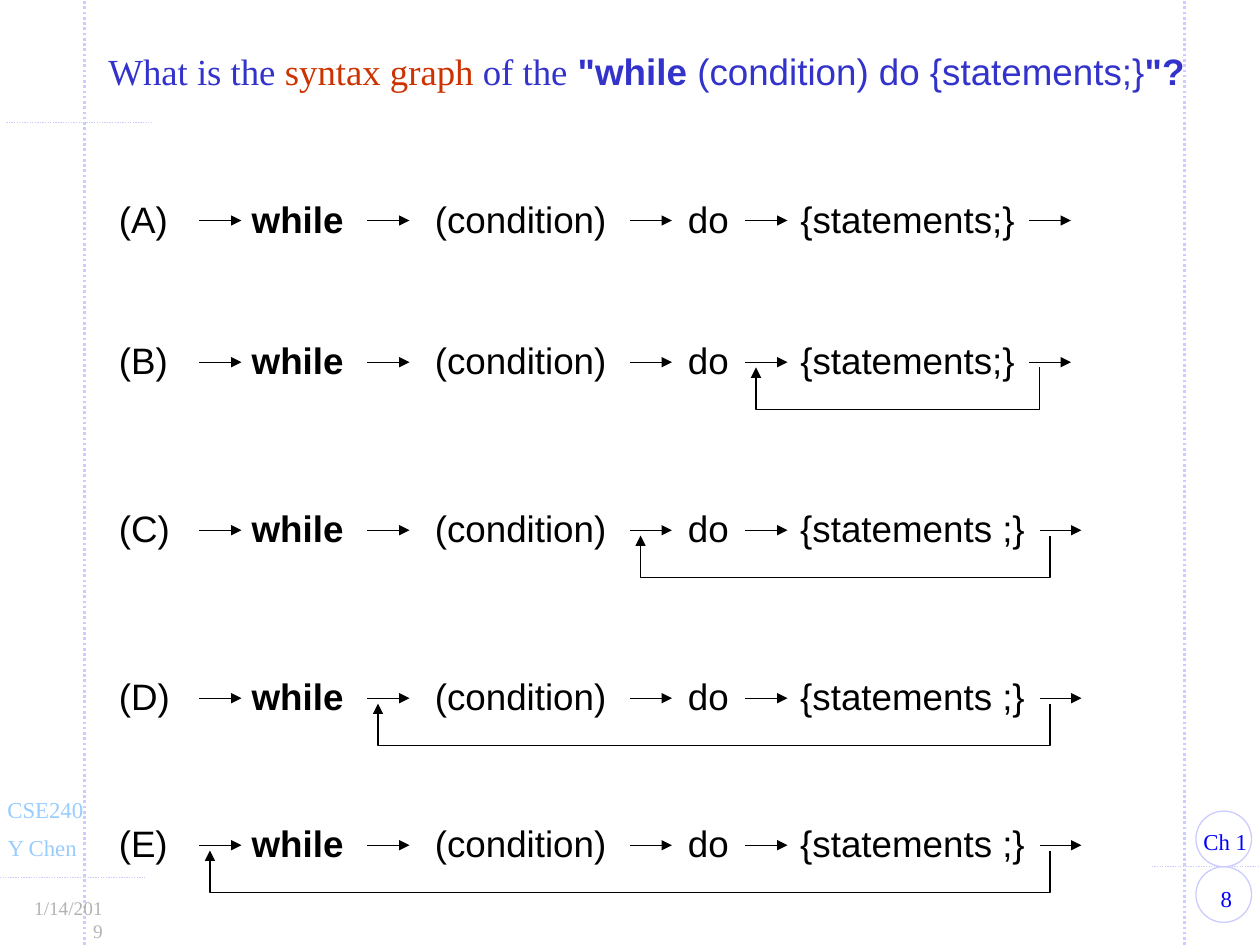
import dataclasses
import lxml.etree
import pptx
import pptx.dml.color
import pptx.enum.dml
import pptx.enum.shapes
import pptx.enum.text
import pptx.oxml.ns
import pptx.util

COLUMNS, ROWS = 120, 90
CELL = pptx.util.Inches(10) // COLUMNS
ARROW_LENGTH = 4


@dataclasses.dataclass(frozen=True)
class Theme:
    serif: str = "Times New Roman"
    sans: str = "Arial"
    body_size: int = 21
    label_size: int = 13
    date_size: int = 11
    title: str = "3333CC"
    accent: str = "CC3300"
    ink: str = "000000"
    guide: str = "CCCCFF"
    course: str = "99CCFF"
    chapter: str = "0000FF"
    date: str = "B2B2B2"
    thin: float = 0.75
    thick: float = 1.5


@dataclasses.dataclass(frozen=True)
class Box:
    left: float
    top: float
    width: float
    height: float

    def inner(self, left, top, width, height):
        return Box(self.left + left, self.top + top, width, height)

    def point(self, column, row):
        return cells(self.left + column), cells(self.top + row)

    def frame(self):
        return [cells(value) for value in dataclasses.astuple(self)]


THEME = Theme()


def cells(count):
    return pptx.util.Emu(round(count * CELL))


def color(value):
    return pptx.dml.color.RGBColor.from_string(value)


def add_xml(parent, tag, **attributes):
    return lxml.etree.SubElement(parent, pptx.oxml.ns.qn(tag), attributes)


def apply_formats(target, formats):
    for name, value in formats.items():
        setattr(target, name, value)


def style_line(line, value, weight, dotted=False, arrow=False):
    line.color.rgb = color(value)
    line.width = pptx.util.Pt(weight)
    if dotted:
        line.dash_style = pptx.enum.dml.MSO_LINE.ROUND_DOT
    if arrow:
        add_xml(line._get_or_add_ln(), "a:tailEnd", type="triangle")


def add_line(slide, start, end, value, weight, **options):
    connector = slide.shapes.add_connector(
        pptx.enum.shapes.MSO_CONNECTOR.STRAIGHT, *start, *end)
    style_line(connector.line, value, weight, **options)
    add_xml(connector._element.spPr, "a:effectLst")


def add_text(slide, box, runs, align="LEFT", wrap=False, tabs=()):
    frame = slide.shapes.add_textbox(*box.frame()).text_frame
    apply_formats(frame, {
        "word_wrap": wrap,
        "auto_size": pptx.enum.text.MSO_AUTO_SIZE.SHAPE_TO_FIT_TEXT,
        "margin_left": pptx.util.Inches(0.11),
        "margin_right": pptx.util.Inches(0.11),
        "margin_top": pptx.util.Inches(0.05),
        "margin_bottom": pptx.util.Inches(0.05),
    })
    paragraph = frame.paragraphs[0]
    paragraph.alignment = pptx.enum.text.PP_ALIGN[align]
    if tabs:
        tab_list = add_xml(paragraph._p.get_or_add_pPr(), "a:tabLst")
        for position in tabs:
            add_xml(tab_list, "a:tab", pos=str(cells(position)), algn="l")
    for text, name, size, value, bold in runs:
        run = paragraph.add_run()
        run.text = text
        apply_formats(run.font, {"name": name, "size": pptx.util.Pt(size), "bold": bold})
        run.font.color.rgb = color(value)


def add_label(slide, box, text, value, size=THEME.label_size, **options):
    add_text(slide, box, [(text, THEME.serif, size, value, False)], **options)


def add_guides(slide, box):
    for column in (8.05, 112.8):
        add_line(slide, box.point(column, box.height), box.point(column, 0),
                 THEME.guide, THEME.thick, dotted=True)
    for first, last, row in ((0, 13.8, 83.6), (109.7, 120.6, 82.55), (0.6, 14.4, 11.65)):
        add_line(slide, box.point(first, row), box.point(last, row),
                 THEME.guide, THEME.thin, dotted=True)


def add_course_block(slide, box):
    add_label(slide, box.inner(0, 0, 10.8, 3.8), "CSE240", THEME.course)
    add_label(slide, box.inner(0, 3.65, 10.2, 3.8), "Y Chen", THEME.course)
    add_label(slide, box.inner(1.7, 9.6, 10, 3.5), "1/14/2019", THEME.date,
              size=THEME.date_size, align="RIGHT", wrap=True)


def add_page_badge(slide, box):
    diameter = box.height / 2
    for index in range(2):
        circle = slide.shapes.add_shape(
            pptx.enum.shapes.MSO_SHAPE.OVAL,
            *box.inner(0, index * diameter, diameter, diameter).frame())
        circle.shadow.inherit = False
        circle.fill.background()
        style_line(circle.line, THEME.guide, THEME.thin)
    add_label(slide, box.inner(-0.6, 1, 7.6, 3.8), "Ch 1", THEME.chapter)
    add_label(slide, box.inner(-0.6, 6.4, 7, 3.8), "8", THEME.chapter,
              align="CENTER", wrap=True)


def add_title(slide, box):
    pieces = [
        ("What is the ", THEME.serif, THEME.title, False),
        ("syntax graph ", THEME.serif, THEME.accent, False),
        ("of the", THEME.serif, THEME.title, False),
        (' "while', THEME.sans, THEME.title, True),
        (" (condition) do {statements;}", THEME.sans, THEME.title, False),
        ('"?', THEME.sans, THEME.title, True),
    ]
    add_text(slide, box, [(text, name, THEME.body_size, value, bold)
                          for text, name, value, bold in pieces])


def add_loop(slide, box, first, last):
    top, bottom = 3.5, 7.5
    corners = [box.point(*corner) for corner in
               ((last, top), (last, bottom), (first, bottom), (first, top))]
    builder = slide.shapes.build_freeform(*corners[0])
    builder.add_line_segments(corners[1:], close=False)
    loop = builder.convert_to_shape()
    loop.shadow.inherit = False
    loop.fill.background()
    style_line(loop.line, THEME.ink, THEME.thin, arrow=True)


def add_answer(slide, box, letter, statements, loop_target):
    pieces = [(f"({letter})\t", False), ("while", True),
              (f"\t(condition)\tdo\t{statements}", False)]
    add_text(slide, box.inner(0, 0.1, box.width, box.height),
             [(text, THEME.sans, THEME.body_size, THEME.ink, bold)
              for text, bold in pieces], tabs=(12.65, 30.1, 54.2, 64.9))
    arrows = [9, 25, 50, 61, box.width]
    for column in arrows:
        add_line(slide, box.point(column, 3), box.point(column + ARROW_LENGTH, 3),
                 THEME.ink, THEME.thin, arrow=True)
    if loop_target is not None:
        add_loop(slide, box, arrows[loop_target] + 1, arrows[-1] + 1)


def main():
    presentation = pptx.Presentation()
    presentation.slide_width = cells(COLUMNS)
    presentation.slide_height = cells(ROWS)
    slide = presentation.slides.add_slide(presentation.slide_layouts[6])
    add_guides(slide, Box(0, 0, COLUMNS, ROWS))
    add_course_block(slide, Box(-0.6, 75.15, 12, 13))
    add_page_badge(slide, Box(113.9, 77.25, 5.3, 10.6))
    add_title(slide, Box(9, 4.1, 106.2, 5.5))
    answers = [
        ("A", 18, 88, "{statements;}", None),
        ("B", 31.5, 88, "{statements;}", 3),
        ("C", 47.5, 89, "{statements ;}", 2),
        ("D", 63.5, 89, "{statements ;}", 1),
        ("E", 77.5, 89, "{statements ;}", 0),
    ]
    for letter, top, width, statements, loop_target in answers:
        add_answer(slide, Box(10, top, width, 5.4), letter, statements, loop_target)
    presentation.save("out.pptx")


if __name__ == "__main__":
    main()
